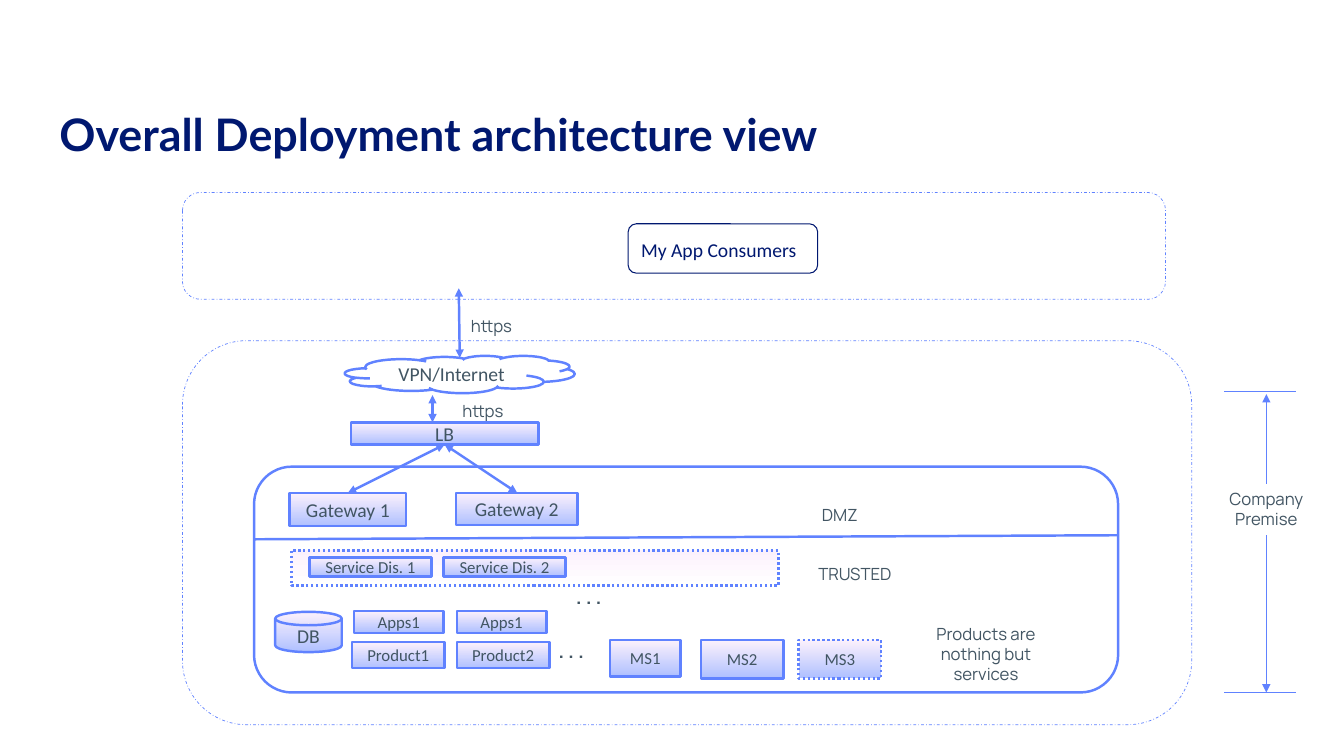
import pptx
import pptx.dml.color
import pptx.enum.dml
import pptx.enum.shapes
import pptx.enum.text
import pptx.oxml
import pptx.oxml.ns
import pptx.util

PX = 9144  # EMU per px, 100 px to the inch
Shape = pptx.enum.shapes.MSO_SHAPE
Dash = pptx.enum.dml.MSO_LINE
Align = pptx.enum.text.PP_ALIGN
Anchor = pptx.enum.text.MSO_ANCHOR


class Theme:
    NAVY, BLUE, WHITE = "001870", "6082FF", "FFFFFF"
    LABEL, NODE = "425563", "415563"
    PINK, LILAC = "FCF1FC", "AFC0FF"
    HEADING, BODY, CAPTION = "Lato", "Calibri", "Manrope"
    TITLE, LARGE, SMALL = 32, 14, 12
    THICK, THIN, FRAME = 1.75, 0.5, 0.75


def rgb(color):
    return pptx.dml.color.RGBColor.from_string(color)


def place(region, x, y, w, h):
    """Slide position of a part given relative to its region."""
    return [(region[0] + x) * PX, (region[1] + y) * PX, w * PX, h * PX]


def write(holder, text, size, font, color, align=Align.CENTER, anchor=Anchor.TOP, bold=False):
    frame = holder.text_frame
    frame.word_wrap = True
    frame.vertical_anchor = anchor
    for number, words in enumerate(text.split("\n")):
        paragraph = frame.paragraphs[0] if number == 0 else frame.add_paragraph()
        paragraph.alignment = align
        run = paragraph.add_run()
        run.text = words
        run.font.size = pptx.util.Pt(size)
        run.font.name = font
        run.font.bold = bold
        run.font.color.rgb = rgb(color)
    return frame


def label(slide, spot, text, size=Theme.SMALL, bold=False):
    frame = write(slide.shapes.add_textbox(*spot), text, size, Theme.CAPTION, Theme.LABEL, bold=bold)
    frame.auto_size = pptx.enum.text.MSO_AUTO_SIZE.SHAPE_TO_FIT_TEXT


def outline(slide, spot, kind=Shape.ROUNDED_RECTANGLE, fill=None, color=Theme.BLUE,
            width=Theme.THICK, dash=None):
    """Shape with an empty fill, a plain fill, or a (top, bottom) gradient."""
    shape = slide.shapes.add_shape(kind, *spot)
    shape.shadow.inherit = False
    if fill is None:
        shape.fill.background()
    elif isinstance(fill, tuple):
        shape.fill.gradient()
        shape.fill.gradient_angle = 270
        for stop, tint in zip(shape.fill.gradient_stops, fill):
            stop.color.rgb = rgb(tint)
    else:
        shape.fill.solid()
        shape.fill.fore_color.rgb = rgb(fill)
    shape.line.color.rgb = rgb(color)
    shape.line.width = pptx.util.Pt(width)
    if dash:
        shape.line.dash_style = dash
    return shape


def node(slide, spot, text, size=Theme.SMALL, kind=Shape.RECTANGLE,
         fill=(Theme.PINK, Theme.LILAC), dash=None):
    shape = outline(slide, spot, kind, fill, dash=dash)
    write(shape, text, size, Theme.BODY, Theme.NODE, anchor=Anchor.MIDDLE)


def link(slide, region, start, end, width=Theme.THICK, arrows=()):
    """Straight line; arrows lists the ends ("head", "tail") that get a triangle."""
    (x1, y1), (x2, y2) = [((region[0] + x) * PX, (region[1] + y) * PX) for x, y in (start, end)]
    line = slide.shapes.add_connector(pptx.enum.shapes.MSO_CONNECTOR.STRAIGHT, x1, y1, x2, y2)
    line.line.color.rgb = rgb(Theme.BLUE)
    line.line.width = pptx.util.Pt(width)
    stroke = line.line._get_or_add_ln()
    for end_name in arrows:
        arrow = pptx.oxml.parse_xml(
            f'<a:{end_name}End {pptx.oxml.ns.nsdecls("a")} type="triangle"/>')
        stroke.append(arrow)
    line._element.spPr.append(
        pptx.oxml.parse_xml(f'<a:effectLst {pptx.oxml.ns.nsdecls("a")}/>'))


BOTH = ("head", "tail")


def heading(slide, region):
    title = slide.shapes.add_textbox(*place(region, 0, 0, *region[2:]))
    frame = write(title, "Overall Deployment architecture view", Theme.TITLE, Theme.HEADING,
                  Theme.NAVY, Align.LEFT, Anchor.MIDDLE, bold=True)
    frame.paragraphs[0].line_spacing = 0.9


def consumers(slide, region):
    outline(slide, place(region, 0, 0, *region[2:]), width=Theme.THIN, dash=Dash.DASH_DOT)
    outline(slide, place(region, 442, 31, 188, 49), color=Theme.NAVY, width=Theme.FRAME)
    name = slide.shapes.add_textbox(*place(region, 445, 40, 176, 34))
    frame = write(name, "My App Consumers", Theme.LARGE, Theme.BODY, Theme.NAVY, Align.LEFT)
    frame.word_wrap = False
    # Way down to the network
    link(slide, region, (274, 95), (275, 164), arrows=BOTH)
    label(slide, place(region, 271, 117, 71, 30), "https")


def servers(slide, region):
    outline(slide, place(region, 0, 0, *region[2:]), fill=Theme.WHITE)
    # DMZ
    link(slide, region, (0, 72), (856, 68))
    label(slide, place(region, 514, 33, 134, 30), "DMZ")
    node(slide, place(region, 35, 26, 116, 33), "Gateway 1", Theme.LARGE)
    node(slide, place(region, 200, 26, 121, 32), "Gateway 2", Theme.LARGE)
    # Trusted zone: service discovery
    label(slide, place(region, 529, 91, 134, 30), "TRUSTED")
    outline(slide, place(region, 37, 83, 483, 35), Shape.RECTANGLE,
            (Theme.PINK, Theme.WHITE), dash=Dash.ROUND_DOT)
    # Trusted zone: database, apps and products
    node(slide, place(region, 21, 144, 66, 40), "DB", Theme.LARGE, Shape.FLOWCHART_MAGNETIC_DISK)
    for i in range(2):
        node(slide, place(region, 55 + 133 * i, 90, 121, 19), f"Service Dis. {i + 1}")
        node(slide, place(region, 99 + 102 * i, 143, 89, 22), "Apps1")
        node(slide, place(region, 97 + 104 * i, 174, 92, 26), f"Product{i + 1}")
    for x, y, w in ((293, 112, 78), (288, 166, 53)):
        label(slide, place(region, x, y, w, 34), ". . .", Theme.LARGE, bold=True)
    # Trusted zone: microservices
    for name, x, w, h, dash in (("MS1", 353, 70, 36, None), ("MS2", 443, 82, 38, None),
                                ("MS3", 540, 82, 38, Dash.ROUND_DOT)):
        node(slide, place(region, x, 172, w, h), name, dash=dash)
    label(slide, place(region, 659, 151, 134, 71), "Products are nothing but services")


def network(slide, region):
    outline(slide, place(region, 0, 0, *region[2:]), width=Theme.THIN, dash=Dash.DASH_DOT)
    node(slide, place(region, 161, 15, 228, 37), "VPN/Internet", Theme.LARGE,
         Shape.CLOUD, Theme.WHITE)
    link(slide, region, (248, 54), (248, 81), arrows=BOTH)
    label(slide, place(region, 260, 55, 76, 30), "https")
    # Load balancer and its two gateways
    node(slide, place(region, 167, 81, 186, 22), "LB", Theme.LARGE)
    for gateway_x in (164, 332):
        link(slide, region, (260, 103), (gateway_x, 151), arrows=BOTH)


def premise_extent(slide, region):
    height = region[3]
    for y in (0, height):
        link(slide, region, (25, y), (96, y), Theme.THIN)
    label(slide, place(region, 0, 92, 134, 50), "Company\nPremise")
    for start, end in ((92, 3), (143, height)):
        link(slide, region, (67, start), (67, end), Theme.THIN, ("tail",))


def main():
    deck = pptx.Presentation()
    deck.slide_width, deck.slide_height = 1333 * PX, 750 * PX
    slide = deck.slides.add_slide(deck.slide_layouts[6])
    heading(slide, (49, 106, 1236, 60))
    servers(slide, (252, 463, 857, 224))
    network(slide, (181, 338, 1001, 381))
    consumers(slide, (181, 191, 975, 106))
    premise_extent(slide, (1189, 388, 134, 299))
    deck.save("out.pptx")


if __name__ == "__main__":
    main()
